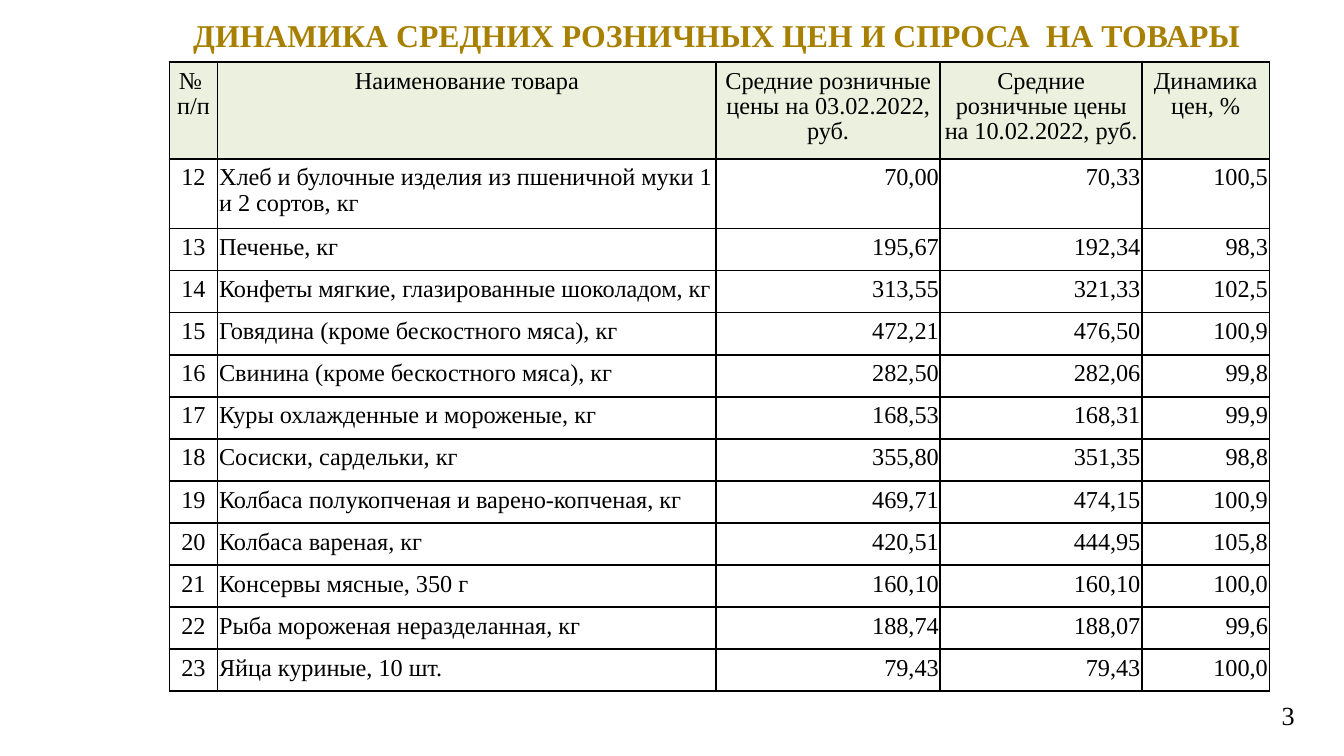
import pptx
import pptx.util
import pptx.dml.color
import pptx.enum.text
import pptx.oxml
import pptx.oxml.ns

Cm, Pt = pptx.util.Cm, pptx.util.Pt
ALIGN = pptx.enum.text.PP_ALIGN
ANCHOR = pptx.enum.text.MSO_ANCHOR

HEAD = [
    "№ \nп/п",
    "Наименование товара",
    "Средние розничные цены на 03.02.2022, руб.",
    "Средние розничные цены на 10.02.2022, руб.",
    "Динамика цен, %",
]
GOODS = [
    ("Хлеб и булочные изделия из пшеничной муки 1 и 2 сортов, кг", "70,00", "70,33", "100,5"),
    ("Печенье, кг", "195,67", "192,34", "98,3"),
    ("Конфеты мягкие, глазированные шоколадом, кг", "313,55", "321,33", "102,5"),
    ("Говядина (кроме бескостного мяса), кг", "472,21", "476,50", "100,9"),
    ("Свинина (кроме бескостного мяса), кг", "282,50", "282,06", "99,8"),
    ("Куры охлажденные и мороженые, кг", "168,53", "168,31", "99,9"),
    ("Сосиски, сардельки, кг", "355,80", "351,35", "98,8"),
    ("Колбаса полукопченая и варено-копченая, кг", "469,71", "474,15", "100,9"),
    ("Колбаса вареная, кг", "420,51", "444,95", "105,8"),
    ("Консервы мясные, 350 г", "160,10", "160,10", "100,0"),
    ("Рыба мороженая неразделанная, кг", "188,74", "188,07", "99,6"),
    ("Яйца куриные, 10 шт.", "79,43", "79,43", "100,0"),
]
WIDTHS = [0.91, 9.42, 4.24, 3.81, 2.41]
HEIGHTS = [1.78, 1.32] + [8.75 / 11] * 11
SIDES = [ALIGN.CENTER, ALIGN.LEFT] + [ALIGN.RIGHT] * 3


def color(code):
    return pptx.dml.color.RGBColor.from_string(code)


def write(frame, text, size=13, ink="000000", bold=False, align=ALIGN.LEFT, space=1.0):
    frame.word_wrap = True
    for i, line in enumerate(text.split("\n")):
        para = frame.add_paragraph() if i else frame.paragraphs[0]
        para.alignment = align
        para.line_spacing = space
        run = para.add_run()
        run.text = line
        run.font.name = "Times New Roman"
        run.font.size = Pt(size)
        run.font.bold = bold
        run.font.color.rgb = color(ink)


class Deck:
    """Holds the style and the current slide, and adds elements to it."""

    gold, black, green, white = "A88000", "000000", "EBF1DE", "FFFFFF"

    def __init__(self, show):
        self.slide = show.slides.add_slide(show.slide_layouts[5])

    def title(self, text, left, top, width, height):
        shape = self.slide.shapes.title
        shape.left, shape.top = Cm(left), Cm(top)
        shape.width, shape.height = Cm(width), Cm(height)
        frame = shape.text_frame
        frame.auto_size = pptx.enum.text.MSO_AUTO_SIZE.NONE
        frame.vertical_anchor = ANCHOR.MIDDLE
        frame.margin_right = Cm(0.7)
        write(frame, text, size=17, ink=self.gold, bold=True, align=ALIGN.CENTER)

    def number(self, text, left, top, width, height):
        box = self.slide.shapes.add_textbox(Cm(left), Cm(top), Cm(width), Cm(height))
        write(box.text_frame, text, size=14, align=ALIGN.RIGHT)

    def border(self, cell):
        props = cell._tc.get_or_add_tcPr()
        for side in ("lnL", "lnR", "lnT", "lnB"):
            props.append(pptx.oxml.parse_xml(
                f'<a:{side} {pptx.oxml.ns.nsdecls("a")} w="{Pt(0.96)}"><a:solidFill>'
                f'<a:srgbClr val="{self.black}"/></a:solidFill></a:{side}>'))

    def cell(self, cell, text, fill, align):
        cell.margin_left = cell.margin_right = Cm(0.03)
        cell.margin_top = cell.margin_bottom = Cm(0.13)
        cell.vertical_anchor = ANCHOR.TOP
        self.border(cell)
        cell.fill.solid()
        cell.fill.fore_color.rgb = color(fill)
        write(cell.text_frame, text, align=align, space=0.95)

    def table(self, rows, left, top):
        table = self.slide.shapes.add_table(
            len(rows), len(WIDTHS), Cm(left), Cm(top),
            Cm(sum(WIDTHS)), Cm(sum(HEIGHTS))).table
        table.first_row = table.horz_banding = False
        for col, width in zip(table.columns, WIDTHS):
            col.width = Cm(width)
        for r, (row, height) in enumerate(zip(rows, HEIGHTS)):
            table.rows[r].height = Cm(height)
            for c, text in enumerate(row):
                fill = self.white if r else self.green
                align = SIDES[c] if r else ALIGN.CENTER
                self.cell(table.cell(r, c), text, fill, align)


def main():
    show = pptx.Presentation()
    show.slide_width, show.slide_height = Cm(25.4), Cm(14.29)
    deck = Deck(show)
    deck.title("ДИНАМИКА СРЕДНИХ РОЗНИЧНЫХ ЦЕН И СПРОСА  НА ТОВАРЫ", 2.82, 0.2, 21.9, 0.92)
    deck.number("3", 23.52, 13.1, 1.2, 1.12)
    rows = [(str(n), *item) for n, item in enumerate(GOODS, 12)]
    deck.table([HEAD] + rows, 3.2, 1.17)
    show.save("out.pptx")


if __name__ == "__main__":
    main()
